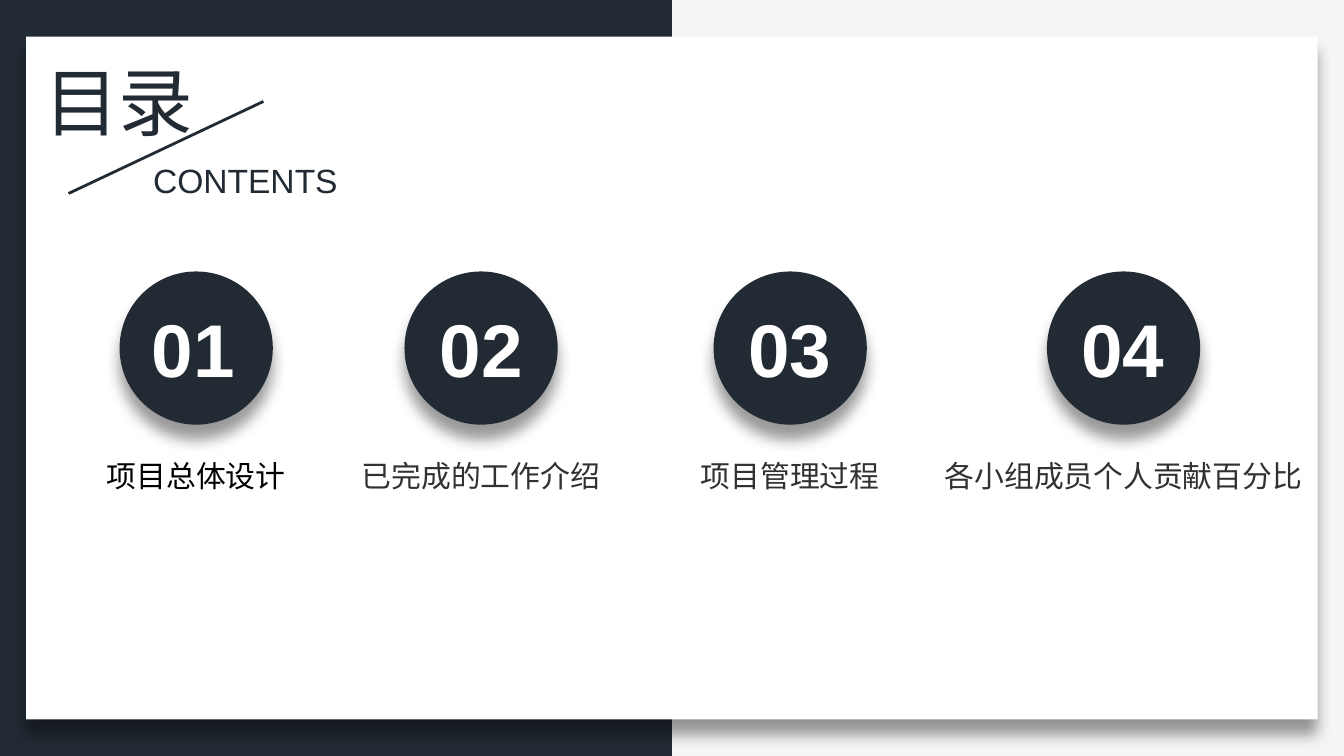
from dataclasses import dataclass

from lxml import etree
from pptx import Presentation
from pptx import util as u
from pptx.dml.color import RGBColor
from pptx.enum import shapes, text
from pptx.oxml import ns


@dataclass(frozen=True)
class Theme:
    """Colours, fonts and type sizes of the slide."""
    dark: str = "222B34"
    pale: str = "F6F4F7"
    white: str = "FFFFFF"
    black: str = "000000"
    gray: str = "303133"
    latin: str = "Arial"
    head: str = "Calibri"
    han: str = "Noto Sans CJK SC"
    big: int = 40
    mid: int = 18
    small: int = 16


T = Theme()
WIDE, HIGH = 100, 56.25  # grid columns and rows, each a tenth of an inch
DISC, MID = 11.4, 25.9  # disc size and the row of the disc centres
ITEMS = [  # disc column, number column, label width, label, font, colour
    (14.6, 14.4, 15.5, "项目总体设计", T.latin, T.black),
    (35.8, 35.8, 20, "已完成的工作介绍", T.han, T.gray),
    (58.8, 58.75, 15.5, "项目管理过程", T.han, T.gray),
    (83.6, 83.55, 28.9, "各小组成员个人贡献百分比", T.han, T.gray),
]


def cells(*nums):
    """Turn grid counts into lengths."""
    return [u.Inches(n / 10) for n in nums]


def rgb(code):
    """Turn a hex code into a colour."""
    return RGBColor.from_string(code)


def effects(props, shade=False):
    """Give shape properties an effect list, empty or with a drop shadow."""
    fx = etree.SubElement(props, ns.qn("a:effectLst"))
    if shade:
        drop = etree.SubElement(fx, ns.qn("a:outerShdw"), blurRad=str(u.Pt(8)),
                                dist=str(u.Pt(8)), dir="5400000",
                                algn="t", rotWithShape="0")
        tint = etree.SubElement(drop, ns.qn("a:srgbClr"), val=T.black)
        etree.SubElement(tint, ns.qn("a:alpha"), val="40000")


def solid(slide, kind, box, fill, shade=False):
    """Draw a filled shape without outline."""
    item = slide.shapes.add_shape(kind, *cells(*box))
    item.fill.solid()
    item.fill.fore_color.rgb = rgb(fill)
    item.line.fill.background()
    if shade:
        effects(item._element.spPr, True)
    else:
        item.shadow.inherit = False


def label(slide, box, words, size, face, tint, bold=False, align=None):
    """Write one line of text that does not wrap."""
    frame = slide.shapes.add_textbox(*cells(*box)).text_frame
    frame.word_wrap = False
    frame.auto_size = text.MSO_AUTO_SIZE.SHAPE_TO_FIT_TEXT
    para = frame.paragraphs[0]
    para.text = words
    para.alignment = align
    font = para.font
    font.size, font.bold, font.name = u.Pt(size), bold, face
    font.color.rgb = rgb(tint)
    etree.SubElement(font._element, ns.qn("a:ea"), typeface=T.han)


def slash(slide, ends):
    """Draw the thin slanted line of the heading."""
    line = slide.shapes.add_connector(shapes.MSO_CONNECTOR.STRAIGHT, *cells(*ends))
    line.line.color.rgb = rgb(T.dark)
    line.line.width = u.Pt(1.5)
    effects(line._element.spPr)


def entry(slide, num, col, spot, width, words, face, tint):
    """Draw a numbered disc with its label below."""
    mid = text.PP_ALIGN.CENTER
    solid(slide, shapes.MSO_SHAPE.OVAL,
          (col - DISC / 2, MID - DISC / 2, DISC, DISC), T.dark, True)
    label(slide, (col - width / 2, 33.6, width, 3.7), words, T.small, face, tint,
          align=mid)
    label(slide, (spot - 4.15, MID - 3.85, 8.3, 7.7), f"{num:02}", T.big, T.latin,
          T.white, True, mid)


def main():
    """Build the contents slide."""
    deck = Presentation()
    deck.slide_width, deck.slide_height = cells(WIDE, HIGH)
    slide = deck.slides.add_slide(deck.slide_layouts[6])
    slide.background.fill.solid()
    slide.background.fill.fore_color.rgb = rgb(T.pale)
    rect = shapes.MSO_SHAPE.RECTANGLE
    solid(slide, rect, (0, 0, WIDE / 2, HIGH), T.dark)
    solid(slide, rect, (1.95, 2.73, 96.1, 50.8), T.white, True)
    label(slide, (2.3, 3.7, 13.2, 7.7), "目录", T.big, T.head, T.dark)
    slash(slide, (19.6, 7.55, 5.1, 14.4))
    label(slide, (10.4, 11.4, 15.9, 4), "CONTENTS", T.mid, T.latin, T.dark)
    for num, item in enumerate(ITEMS, 1):
        entry(slide, num, *item)
    deck.save("out.pptx")


main()
